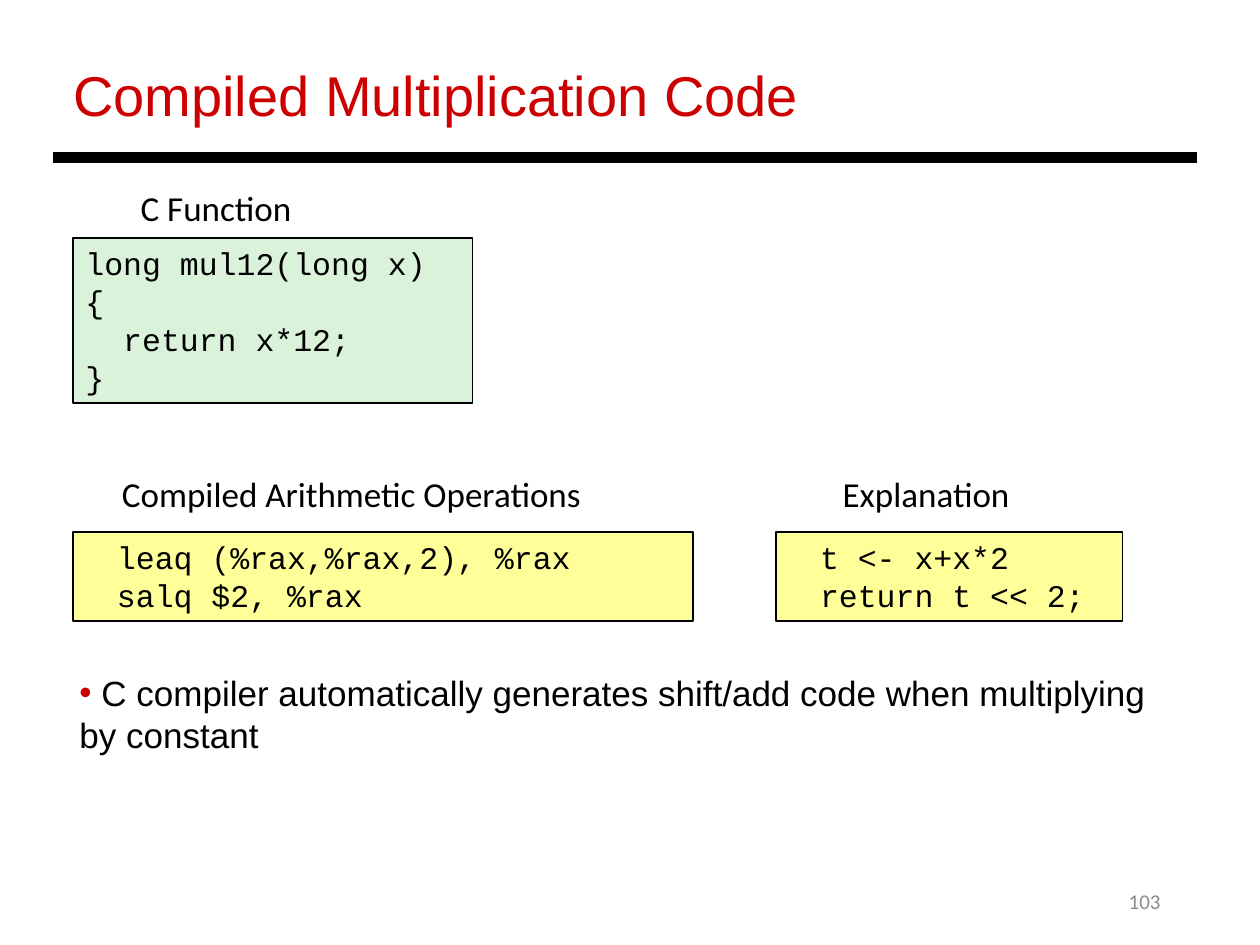
import pptx
import pptx.util
import pptx.dml.color
import pptx.enum.shapes
import pptx.enum.text
import pptx.oxml
import pptx.oxml.ns

PX = 9144
COLORS = {
    "black": "000000",
    "red": "CC0000",
    "gray": "8C8C8C",
    "green": "DBF2DA",
    "yellow": "FFFF99",
}
ALIGN = pptx.enum.text.PP_ALIGN
ANCHOR = pptx.enum.text.MSO_ANCHOR


def color(name):
    return pptx.dml.color.RGBColor.from_string(COLORS[name])


def px(*lengths):
    return [pptx.util.Emu(length * PX) for length in lengths]


def append_xml(parent, tag, content="", **attributes):
    listed = "".join(f' {key}="{value}"' for key, value in attributes.items())
    namespace = pptx.oxml.ns.nsdecls("a")
    parent.append(pptx.oxml.parse_xml(f"<a:{tag} {namespace}{listed}>{content}</a:{tag}>"))


def place(part, box):
    part.left, part.top, part.width, part.height = px(*box)


def write(part, text, font, size, ink="black", align=ALIGN.LEFT, anchor=ANCHOR.TOP,
          wrap=True):
    frame = part.text_frame
    frame.text = text
    frame.word_wrap = wrap
    frame.auto_size = pptx.enum.text.MSO_AUTO_SIZE.NONE
    frame.vertical_anchor = anchor
    for paragraph in frame.paragraphs:
        paragraph.alignment = align
        for run in paragraph.runs:
            run.font.name = font
            run.font.size = pptx.util.Pt(size)
            run.font.color.rgb = color(ink)
    return frame


def add_heading(slide, box, text):
    left, top, width, height = box
    title = slide.shapes.title
    place(title, (left + 6, top, width - 6, height - 18))
    write(title, text, "Arial", 32, "red", wrap=False)
    rule = slide.shapes.add_connector(
        pptx.enum.shapes.MSO_CONNECTOR.STRAIGHT,
        *px(left, top + height, left + width, top + height))
    rule.line.color.rgb = color("black")
    rule.line.width = pptx.util.Pt(6)
    append_xml(rule._element.spPr, "effectLst")


def add_code_panel(slide, box, caption, caption_box, code, fill, tabbed=False):
    left, top, width, height = box
    offset, rise, caption_width, caption_height = caption_box
    label = slide.shapes.add_textbox(
        *px(left + offset, top - rise, caption_width, caption_height))
    frame = write(label, caption, "Calibri", 20, align=ALIGN.CENTER, wrap=False)
    frame.margin_left, frame.margin_top, frame.margin_right, frame.margin_bottom = px(5, 5, 5, 5)

    panel = slide.shapes.add_shape(
        pptx.enum.shapes.MSO_SHAPE.RECTANGLE, *px(left, top, width, height))
    panel.shadow.inherit = False
    panel.fill.solid()
    panel.fill.fore_color.rgb = color(fill)
    panel.line.color.rgb = color("black")
    panel.line.width = pptx.util.Pt(1)
    frame = write(panel, code, "Courier New", 18)
    if tabbed:
        for line in frame.paragraphs:
            append_xml(line._p.get_or_add_pPr(), "tabLst",
                       f'<a:tab pos="{25 * PX}" algn="l"/>')


def add_conclusion(slide, box, text):
    body = slide.placeholders[1]
    place(body, box)
    frame = write(body, text, "Arial", 20)
    for paragraph in frame.paragraphs:
        paragraph.space_before = pptx.util.Pt(0)
        properties = paragraph._p.get_or_add_pPr()
        properties.set("marL", "0")
        properties.set("indent", "0")
        append_xml(properties, "buClr", f'<a:srgbClr val="{COLORS["red"]}"/>')
        append_xml(properties, "buFont", typeface="Arial")
        append_xml(properties, "buChar", char="•")


def add_page_number(slide, box, number):
    page = slide.shapes.add_textbox(*px(*box))
    write(page, number, "Calibri", 12, "gray", ALIGN.RIGHT, ANCHOR.MIDDLE)


def main():
    deck = pptx.Presentation()
    deck.slide_width, deck.slide_height = px(1000, 750)
    slide = deck.slides.add_slide(deck.slide_layouts[1])
    add_heading(slide, (42, 43, 908, 82), "Compiled Multiplication Code")
    add_code_panel(slide, (58, 189, 317, 131), "C Function", (47, 46, 133, 44),
                   "long mul12(long x)\n{\n  return x*12;\n}", "green")
    add_code_panel(slide, (58, 422, 492, 71), "Compiled Arithmetic Operations",
                   (28, 52, 386, 44),
                   "\tleaq\t(%rax,%rax,2), %rax\n\tsalq\t$2, %rax", "yellow", tabbed=True)
    add_code_panel(slide, (616, 422, 275, 71), "Explanation", (45, 52, 148, 44),
                   "\tt <- x+x*2\n\treturn t << 2;", "yellow", tabbed=True)
    add_conclusion(slide, (53, 528, 897, 77),
                   " C compiler automatically generates shift/add code when multiplying by constant")
    add_page_number(slide, (706, 695, 225, 40), "103")
    deck.save("out.pptx")


if __name__ == "__main__":
    main()
